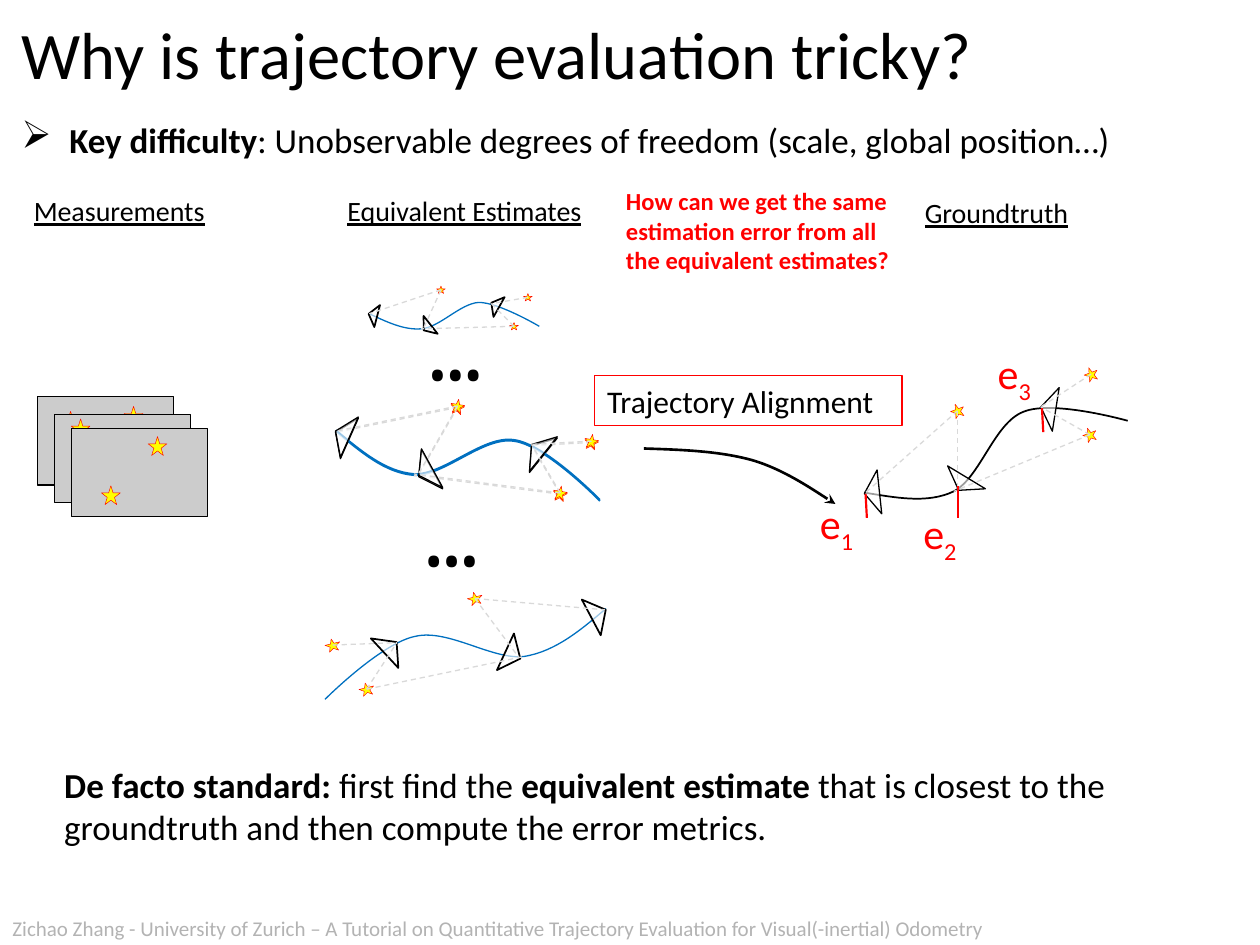
from dataclasses import dataclass
from pptx import Presentation
from pptx.dml.color import RGBColor
from pptx.enum.dml import MSO_LINE
from pptx.enum.shapes import MSO_CONNECTOR, MSO_SHAPE
from pptx.enum.text import MSO_ANCHOR, PP_ALIGN
from pptx.oxml.ns import qn
from pptx.util import Inches, Pt
from lxml.etree import SubElement


@dataclass(frozen=True)
class Theme:
    font: str = "Calibri"
    dots_font: str = "Cambria"
    ink: str = "000000"
    accent: str = "FF0000"
    footer: str = "B3B3B3"
    estimate: str = "0070C0"
    ray: str = "D9D9D9"
    star: str = "FFFF00"
    image: str = "CCCCCC"
    paper: str = "FFFFFF"
    title_pt: int = 38
    dots_pt: int = 44
    error_pt: int = 24
    body_pt: int = 20
    box_pt: int = 18
    head_pt: int = 16
    question_pt: int = 14
    footer_pt: int = 12


@dataclass(frozen=True)
class Trajectory:
    """Curve, cameras (centre x, y, angle), star centres and ray ends."""
    curve: tuple
    cameras: tuple
    stars: tuple
    ray_ends: tuple
    camera_size: tuple
    star_size: tuple
    star_angle: float
    camera_pt: float


RAYS = ((0, 0), (0, 1), (1, 2), (1, 3), (2, 3))  # star index, ray end index

TRUTH = Trajectory(
    ((6.86, 3.91), (7.11, 3.95), (7.36, 4), (7.57, 3.9), (7.78, 3.79), (7.89, 3.36),
     (8.12, 3.27), (8.35, 3.17), (8.95, 3.34), (8.95, 3.34)),
    ((6.92, 3.91, 263.9), (7.64, 3.84, 211.2), (8.32, 3.24, 278.9)),
    ((7.6, 3.26), (8.65, 3.45), (8.66, 2.97)),
    ((6.87, 3.91), (7.6, 3.89), (7.57, 3.9), (8.26, 3.23)),
    (0.35, 0.12), (0.11, 0.11), 339.5, 0.75)

SMALL = Trajectory(
    ((2.93, 2.49), (3.06, 2.55), (3.2, 2.62), (3.34, 2.61), (3.49, 2.6), (3.65, 2.41),
     (3.8, 2.4), (3.96, 2.4), (4.28, 2.59), (4.28, 2.59)),
    ((2.96, 2.5, 284.4), (3.39, 2.6, 231.7), (3.93, 2.42, 299.4)),
    ((3.5, 2.3), (4.08, 2.59), (4.19, 2.36)),
    ((2.93, 2.49), (3.36, 2.61), (3.34, 2.61), (3.9, 2.41)),
    (0.18, 0.07), (0.07, 0.06), 0, 1)

MIRRORED = Trajectory(
    ((4.81, 4.83), (4.61, 5), (4.41, 5.17), (4.16, 5.21), (3.91, 5.24), (3.56, 4.99),
     (3.3, 5.05), (3.03, 5.1), (2.58, 5.55), (2.58, 5.55)),
    ((4.75, 4.87, 62.1), (4.07, 5.2, 114.9), (3.1, 5.14, 47.1)),
    ((3.77, 4.75), (2.91, 5.47), (2.64, 5.12)),
    ((4.8, 4.84), (4.12, 5.22), (4.16, 5.21), (3.15, 5.1)),
    (0.32, 0.13), (0.12, 0.1), 346.5, 1)


class Sketch:
    def __init__(self, s, theme):
        self.s, self.theme, self.shapes = s, theme, s.shapes

    def group(self):
        """Start a group that receives the next shapes."""
        grp = self.s.shapes.add_group_shape()
        self.shapes = grp.shapes
        return grp

    def ungroup(self):
        self.shapes = self.s.shapes

    def stroke(self, line, color, pt):
        line.color.rgb = RGBColor.from_string(color)
        line.width = Pt(pt)

    def add_runs(self, sp, runs, size, color=None, font=None, inset=True, wrap=True, indent=None):
        """Fill a shape with runs of (text, style); style is any of b, u, sub."""
        tf = sp.text_frame
        tf.word_wrap, tf.vertical_anchor = wrap, MSO_ANCHOR.TOP
        if not inset:
            tf.margin_left = tf.margin_right = tf.margin_top = tf.margin_bottom = 0
        p = tf.paragraphs[0]
        p.alignment = PP_ALIGN.LEFT
        if indent:
            pPr = p._p.get_or_add_pPr()
            pPr.set("marL", str(Inches(indent)))
            pPr.set("indent", str(-Inches(indent)))
            SubElement(pPr, qn("a:buSzPct"), val="110000")
            SubElement(pPr, qn("a:buChar"), char="➢")
        for text, style in runs:
            r = p.add_run()
            r.text = text
            r.font.name, r.font.size = font or self.theme.font, Pt(size)
            r.font.color.rgb = RGBColor.from_string(color or self.theme.ink)
            r.font.bold, r.font.underline = style == "b", style == "u"
            if style == "sub":
                r._r.get_or_add_rPr().set("baseline", "-25000")
        return p

    def text(self, x, y, w, h, runs, size, **options):
        sp = self.shapes.add_textbox(Inches(x), Inches(y), Inches(w), Inches(h))
        return self.add_runs(sp, runs, size, **options)

    def shape(self, kind, x, y, w, h, fill, line, pt, angle=0, opacity=None):
        sp = self.shapes.add_shape(kind, Inches(x), Inches(y), Inches(w), Inches(h))
        sp.shadow.inherit = False
        sp.rotation = angle
        sp.fill.solid()
        sp.fill.fore_color.rgb = RGBColor.from_string(fill)
        if opacity:
            clr = sp._element.spPr.find(qn("a:solidFill"))[0]
            SubElement(clr, qn("a:alpha"), val=str(opacity * 1000))
        self.stroke(sp.line, line, pt)
        return sp

    def star(self, cx, cy, w, h, angle=0):
        self.shape(MSO_SHAPE.STAR_5_POINT, cx - w / 2, cy - h / 2, w, h,
                   self.theme.star, self.theme.accent, 0.25, angle)

    def line(self, start, end, color, pt, dashed=False):
        cn = self.shapes.add_connector(MSO_CONNECTOR.STRAIGHT, *map(Inches, (*start, *end)))
        self.stroke(cn.line, color, pt)
        if dashed:
            cn.line.dash_style = MSO_LINE.DASH
        SubElement(cn._element.spPr, qn("a:effectLst"))

    def curve(self, points, color, pt, arrow=False):
        """Draw Bezier segments: a start, then two controls and an end for each."""
        pts = [(Inches(x), Inches(y)) for x, y in points]
        fb = self.shapes.build_freeform(*pts[0])
        fb.add_line_segments(pts[1:], close=False)
        sp = fb.convert_to_shape()
        steps = list(sp._element.iter(qn("a:lnTo")))
        for i in range(0, len(steps), 3):
            bezier = SubElement(steps[i].getparent(), qn("a:cubicBezTo"))
            for step in steps[i:i + 3]:
                bezier.append(step[0])
                step.getparent().remove(step)
        sp.shadow.inherit = False
        sp.fill.background()
        self.stroke(sp.line, color, pt)
        if arrow:
            SubElement(sp._element.spPr.find(qn("a:ln")), qn("a:tailEnd"), type="stealth")

    def trajectory(self, t, color, pt, dx=0, dy=0, angle=0):
        grp = self.group()
        self.curve([(x + dx, y + dy) for x, y in t.curve], color, pt)
        w, h = t.camera_size
        for cx, cy, turn in t.cameras:
            self.shape(MSO_SHAPE.ISOSCELES_TRIANGLE, cx + dx - w / 2, cy + dy - h / 2, w, h,
                       self.theme.paper, self.theme.ink, t.camera_pt, turn, opacity=61)
        stars = [(x + dx, y + dy) for x, y in t.stars]
        for star in stars:
            self.star(*star, *t.star_size, t.star_angle)
        for i, j in RAYS:
            x, y = t.ray_ends[j]
            self.line(stars[i], (x + dx, y + dy), self.theme.ray, 0.75, dashed=True)
        grp.rotation = angle
        self.ungroup()

    def image_stack(self):
        self.group()
        for x, y, stars in ((0.3, 3.15, ((0.56, 3.34), (1.06, 3.3))),
                            (0.43, 3.29, ((0.64, 3.4),)),
                            (0.57, 3.4, ((0.88, 3.93), (1.25, 3.54)))):
            self.shape(MSO_SHAPE.RECTANGLE, x, y, 1.08, 0.7, self.theme.image, self.theme.ink, 0.75)
            for star in stars:
                self.star(*star, 0.15, 0.15)
        self.ungroup()


def main():
    prs = Presentation()
    prs.slide_width, prs.slide_height = Inches(10), Inches(7.5)
    th = Theme()
    sk = Sketch(prs.slides.add_slide(prs.slide_layouts[6]), th)

    p = sk.text(0.17, 0.21, 9.67, 0.83, [("Why is trajectory evaluation tricky?", "")],
                th.title_pt, inset=False)
    p.line_spacing = Pt(38)
    p = sk.text(0.17, 0.72, 9.66, 0.59,
                [("Key difficulty", "b"),
                 (": Unobservable degrees of freedom (scale, global position…)", "")],
                th.body_pt, inset=False, indent=0.38)
    p.line_spacing = Pt(40)
    sk.text(0.51, 6.06, 8.98, 0.59,
            [("De facto standard: ", "b"), ("first find the ", ""), ("equivalent estimate ", "b"),
             ("that is closest to the groundtruth and then compute the error metrics.", "")],
            th.body_pt, inset=False)
    sk.text(0, 7.22, 10.05, 0.28,
            [("Zichao Zhang - University of Zurich – A Tutorial on Quantitative Trajectory "
              "Evaluation for Visual(-inertial) Odometry", "")], th.footer_pt, color=th.footer)

    sk.trajectory(TRUTH, th.ink, 1)
    sk.text(7.34, 1.55, 1.15, 0.27, [("Groundtruth", "u")], th.head_pt, inset=False, wrap=False)
    sk.image_stack()
    sk.text(0.17, 1.49, 1.66, 0.37, [("Measurements", "u")], th.head_pt)
    sk.text(2.66, 1.49, 2.1, 0.37, [("Equivalent Estimates", "u")], th.head_pt)
    sk.trajectory(SMALL, th.estimate, 0.75)
    sk.trajectory(MIRRORED, th.estimate, 0.75)
    for dy in (0.07, 0.06):
        sk.trajectory(TRUTH, th.estimate, 1, dx=-4.1, dy=dy, angle=30)
    sk.text(4.87, 1.43, 2.33, 0.81,
            [("How can we get the same estimation error from all the equivalent estimates?", "b")],
            th.question_pt, color=th.accent)

    for start, end in (((6.87, 3.92), (6.88, 4.11)), ((7.6, 3.86), (7.6, 4.11)),
                       ((8.27, 3.24), (8.28, 3.43))):
        sk.line(start, end, th.accent, 1.25)
    for x, y in ((3.28, 2.37), (3.25, 3.84)):
        sk.text(x, y, 0.51, 0.84, [("…", "b")], th.dots_pt, font=th.dots_font)
    for index, x, y, w in (("1", 6.41, 3.9, 0.6), ("2", 7.23, 3.98, 0.77), ("3", 7.82, 2.71, 1.36)):
        sk.text(x, y, w, 0.5, [("e", ""), (index, "sub")], th.error_pt, color=th.accent)

    sk.curve(((5.11, 3.56), (5.41, 3.57), (5.7, 3.58), (5.96, 3.65), (6.21, 3.72), (6.63, 4),
              (6.63, 4)), th.ink, 1.5, arrow=True)
    sp = sk.shape(MSO_SHAPE.RECTANGLE, 4.72, 2.98, 2.44, 0.4, th.paper, th.accent, 0.75)
    sk.add_runs(sp, [("Trajectory Alignment", "")], th.box_pt)
    prs.save("out.pptx")


if __name__ == "__main__":
    main()
